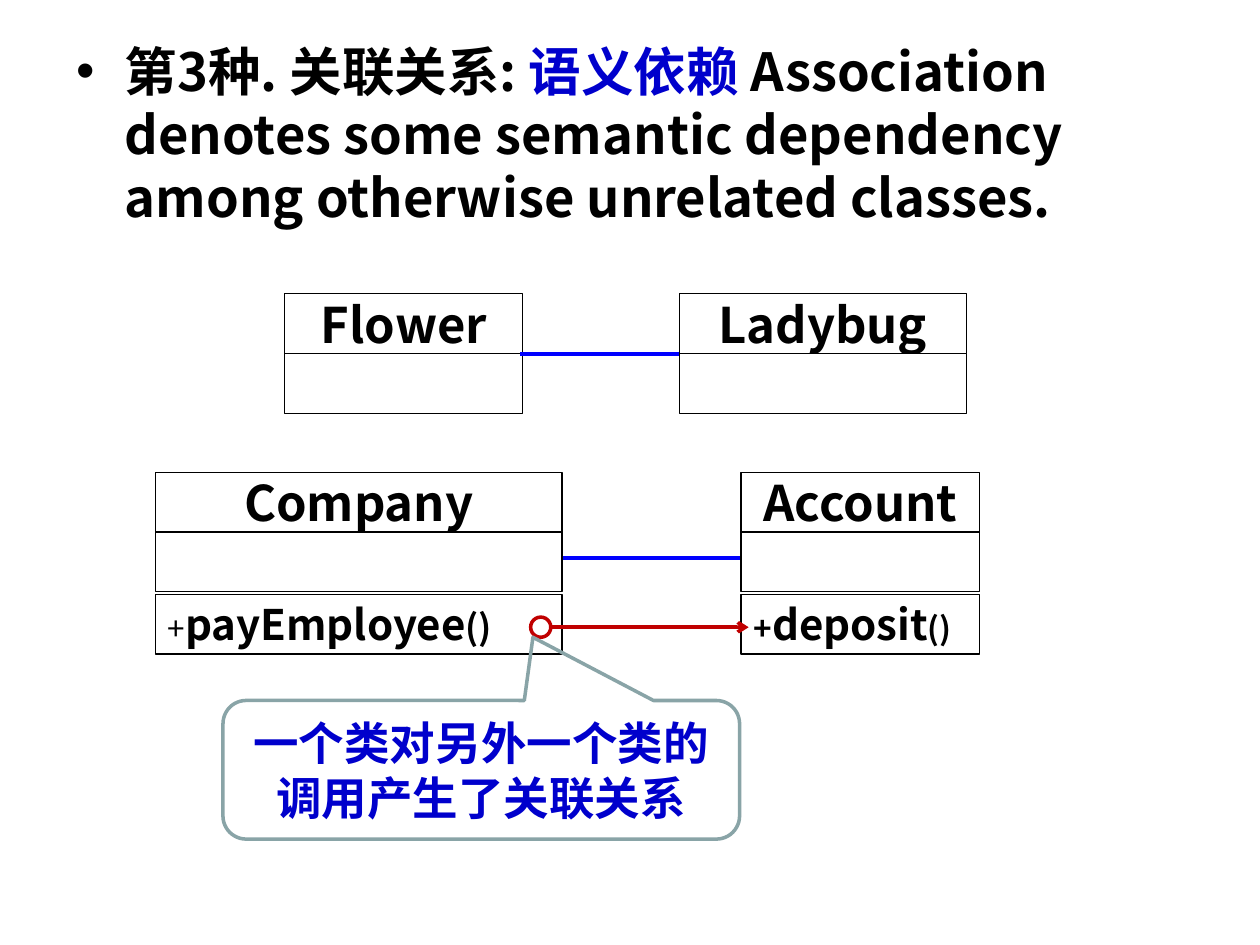
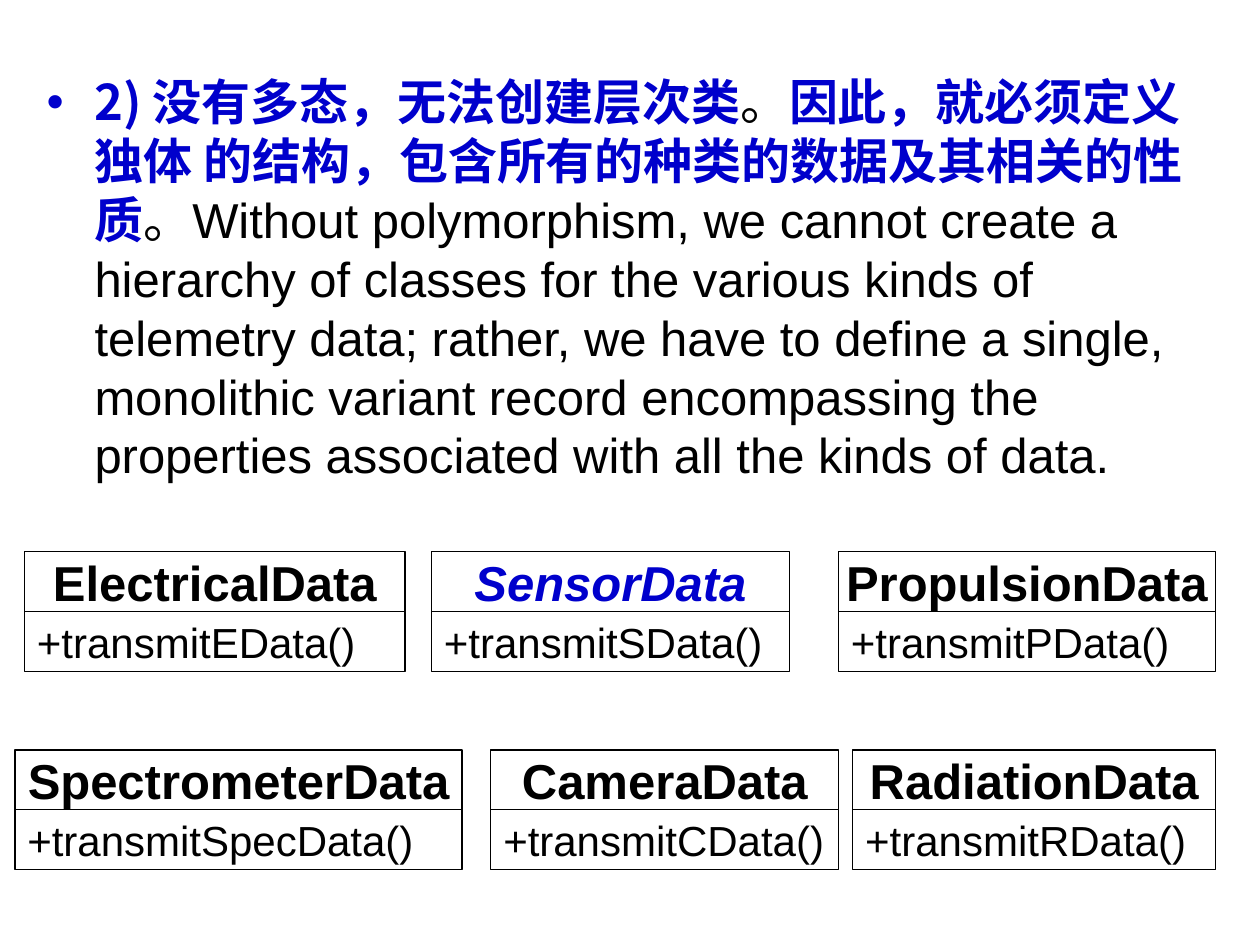
from lxml import etree
from pptx import Presentation
from pptx.dml.color import RGBColor
from pptx.enum.shapes import MSO_CONNECTOR, MSO_SHAPE
from pptx.enum.text import MSO_ANCHOR, MSO_AUTO_SIZE, PP_ALIGN
from pptx.oxml.ns import qn
from pptx.util import Inches, Pt

RECTANGLE, OVAL = MSO_SHAPE.RECTANGLE, MSO_SHAPE.OVAL
CALLOUT = MSO_SHAPE.ROUNDED_RECTANGULAR_CALLOUT
STRAIGHT = MSO_CONNECTOR.STRAIGHT
TOP, MIDDLE = MSO_ANCHOR.TOP, MSO_ANCHOR.MIDDLE
LEFT, CENTER = PP_ALIGN.LEFT, PP_ALIGN.CENTER
FIXED = MSO_AUTO_SIZE.NONE

BLACK = RGBColor(0x00, 0x00, 0x00)
WHITE = RGBColor(0xFF, 0xFF, 0xFF)
BLUE = RGBColor(0x00, 0x00, 0xCC)
LINK_BLUE = RGBColor(0x00, 0x00, 0xFF)
RED = RGBColor(0xC0, 0x00, 0x00)
GRAY = RGBColor(0x89, 0xA4, 0xA7)
CJK, ARIAL = "Noto Sans CJK SC", "Arial"

# The slide is a grid of 100 columns by 75 rows.
COLUMNS, ROWS = 100, 75
SLIDE_WIDTH, SLIDE_HEIGHT = Inches(10), Inches(7.5)
COMPARTMENT = 4.74  # rows taken by one part of a class box
OPERATIONS_GAP = 0.2  # rows between attributes and operations


def cols(count):
    return int(SLIDE_WIDTH * count / COLUMNS)


def rows(count):
    return int(SLIDE_HEIGHT * count / ROWS)


def place(box):
    left, top, width, height = box
    return cols(left), rows(top), cols(width), rows(height)


def add_span(para, text, size, font=CJK, color=BLACK, bold=False, italic=False):
    span = para.add_run()
    span.text = text
    span.font.name = font
    span.font.size = Pt(size)
    span.font.bold = bold
    span.font.italic = italic
    span.font.color.rgb = color
    east_asian = etree.SubElement(span.font._element, qn("a:ea"))
    east_asian.set("typeface", font)


def add_shape(page, kind, box, line, weight, fill=WHITE):
    shape = page.shapes.add_shape(kind, *place(box))
    shape.shadow.inherit = False
    if fill is None:
        shape.fill.background()
    else:
        shape.fill.solid()
        shape.fill.fore_color.rgb = fill
    shape.line.color.rgb = line
    shape.line.width = Pt(weight)
    return shape


def write(shape, spans, align, wrap=False):
    """Fill a shape with one paragraph; each span is (text, format)."""
    frame = shape.text_frame
    frame.word_wrap = wrap
    frame.vertical_anchor = MIDDLE
    para = frame.paragraphs[0]
    para.alignment = align
    for text, style in spans:
        add_span(para, text, **style)


def add_link(page, start, end, color, weight, arrow=False):
    link = page.shapes.add_connector(STRAIGHT, cols(start[0]), rows(start[1]),
                                     cols(end[0]), rows(end[1]))
    link.line.color.rgb = color
    link.line.width = Pt(weight)
    if arrow:
        tail = etree.SubElement(link.line._get_or_add_ln(), qn("a:tailEnd"))
        tail.set("type", "arrow")
    etree.SubElement(link._element.spPr, qn("a:effectLst"))


def add_class(page, left, top, width, *parts):
    """Stack the parts of a class box: a centred name, then its members."""
    for index, spans in enumerate(parts):
        gap = OPERATIONS_GAP if index == 2 else 0
        box = left, top + index * COMPARTMENT + gap, width, COMPARTMENT
        part = add_shape(page, RECTANGLE, box, BLACK, 0.75)
        write(part, spans, LEFT if index else CENTER)


def add_statement(page, box, spans, bullet_color):
    body = page.placeholders[1]
    body.left, body.top, body.width, body.height = place(box)
    frame = body.text_frame
    frame.auto_size = FIXED
    frame.word_wrap = True
    frame.vertical_anchor = TOP
    para = frame.paragraphs[0]
    props = para._p.get_or_add_pPr()
    props.set("marL", str(Inches(0.38)))
    props.set("indent", str(-Inches(0.38)))
    color = etree.SubElement(etree.SubElement(props, qn("a:buClr")), qn("a:srgbClr"))
    color.set("val", str(bullet_color))
    etree.SubElement(props, qn("a:buFont")).set("typeface", ARIAL)
    etree.SubElement(props, qn("a:buChar")).set("char", "•")
    para.space_before = Pt(0)
    for text, style in spans:
        add_span(para, text, **style)


def add_page(deck):
    """Add a page that holds a body text and no title."""
    page = deck.slides.add_slide(deck.slide_layouts[1])
    title = page.shapes.title._element
    title.getparent().remove(title)
    return page


def name_spans(name, font=CJK, **style):
    return [(name, dict(size=28, font=font, bold=True, **style))]


def add_insects(page, left, top):
    flower_width, ladybug_left = 18.9, left + 31.3
    middle = top + COMPARTMENT
    add_class(page, left, top, flower_width, name_spans("Flower"), [])
    add_class(page, ladybug_left, top, 22.8, name_spans("Ladybug"), [])
    add_link(page, (left + flower_width - 0.2, middle), (ladybug_left, middle),
             LINK_BLUE, 2.25)


def add_payroll(page, left, top):
    company_width, account_left = 32.3, left + 46.5
    right = left + company_width
    pay = [("+", dict(size=18)), ("payEmployee", dict(size=24, bold=True)),
           ("()", dict(size=20, bold=True))]
    deposit = [("+", dict(size=18, bold=True)), ("deposit", dict(size=24, bold=True)),
               ("()", dict(size=18, bold=True))]
    add_link(page, (right, top + 6.8), (account_left, top + 6.8), LINK_BLUE, 2.25)
    add_class(page, left, top, company_width, name_spans("Company"), [], pay)
    add_class(page, account_left, top, 18.9, name_spans("Account"), [], deposit)

    ring, call = 1.6, top + 12.3
    ring_left = right - 2.5
    add_shape(page, OVAL, (ring_left, call - ring / 2, ring, ring), RED, 2)
    add_link(page, (ring_left + ring, call), (account_left + 0.6, call), RED, 2, arrow=True)


def add_remark(page, box, text):
    callout = add_shape(page, CALLOUT, box, GRAY, 2, fill=None)
    for index, value in enumerate((0.1, -0.956, 0.167)):
        callout.adjustments[index] = value
    write(callout, [(text, dict(size=26, color=BLUE, bold=True))], CENTER, wrap=True)


def build_association(deck):
    page = add_page(deck)
    strong = dict(size=30, bold=True)
    add_statement(page, (5.1, 2.6, 90, 16.5), [
        ("第3种. 关联关系: ", strong),
        ("语义依赖 ", dict(strong, color=BLUE)),
        ("Association denotes some semantic dependency among otherwise "
         "unrelated classes.", strong),
    ], BLACK)
    add_insects(page, 22.6, 23.32)
    add_payroll(page, 12.32, 37.48)
    add_remark(page, (17.7, 55.6, 41, 11), "一个类对另外一个类的调用产生了关联关系")


def add_telemetry(page, top, classes):
    """Place a row of classes given as (left, width, name, operation, format)."""
    for left, width, name, operation, style in classes:
        add_class(page, left, top, width, name_spans(name, ARIAL, **style),
                  [(f"+{operation}()", dict(size=24, font=ARIAL))])


def build_polymorphism(deck):
    page = add_page(deck)
    plain = dict(size=28)
    strong = dict(size=28, color=BLUE, bold=True)
    add_statement(page, (2.7, 5.2, 93.8, 34.7), [
        ("2) 没有多态，无法创建层次类", strong),
        ("。", plain),
        ("因此，就必须定义 独体 的结构，包含所有的种类的数据及其相关的性质", strong),
        ("。", plain),
        ("Without polymorphism, we cannot create a hierarchy of classes for the "
         "various kinds of telemetry data; rather, we have to define a single, "
         "monolithic variant record encompassing the properties associated with "
         "all the kinds of data.", dict(plain, font=ARIAL)),
    ], BLUE)
    add_telemetry(page, 43.8, [
        (1.95, 30.2, "ElectricalData", "transmitEData", {}),
        (34.25, 28.4, "SensorData", "transmitSData", dict(color=BLUE, italic=True)),
        (66.55, 29.9, "PropulsionData", "transmitPData", {}),
    ])
    add_telemetry(page, 59.52, [
        (1.18, 35.5, "SpectrometerData", "transmitSpecData", {}),
        (38.96, 27.6, "CameraData", "transmitCData", {}),
        (67.68, 28.8, "RadiationData", "transmitRData", {}),
    ])


def main():
    deck = Presentation()
    deck.slide_width, deck.slide_height = SLIDE_WIDTH, SLIDE_HEIGHT
    build_association(deck)
    build_polymorphism(deck)
    deck.save("out.pptx")


if __name__ == "__main__":
    main()
